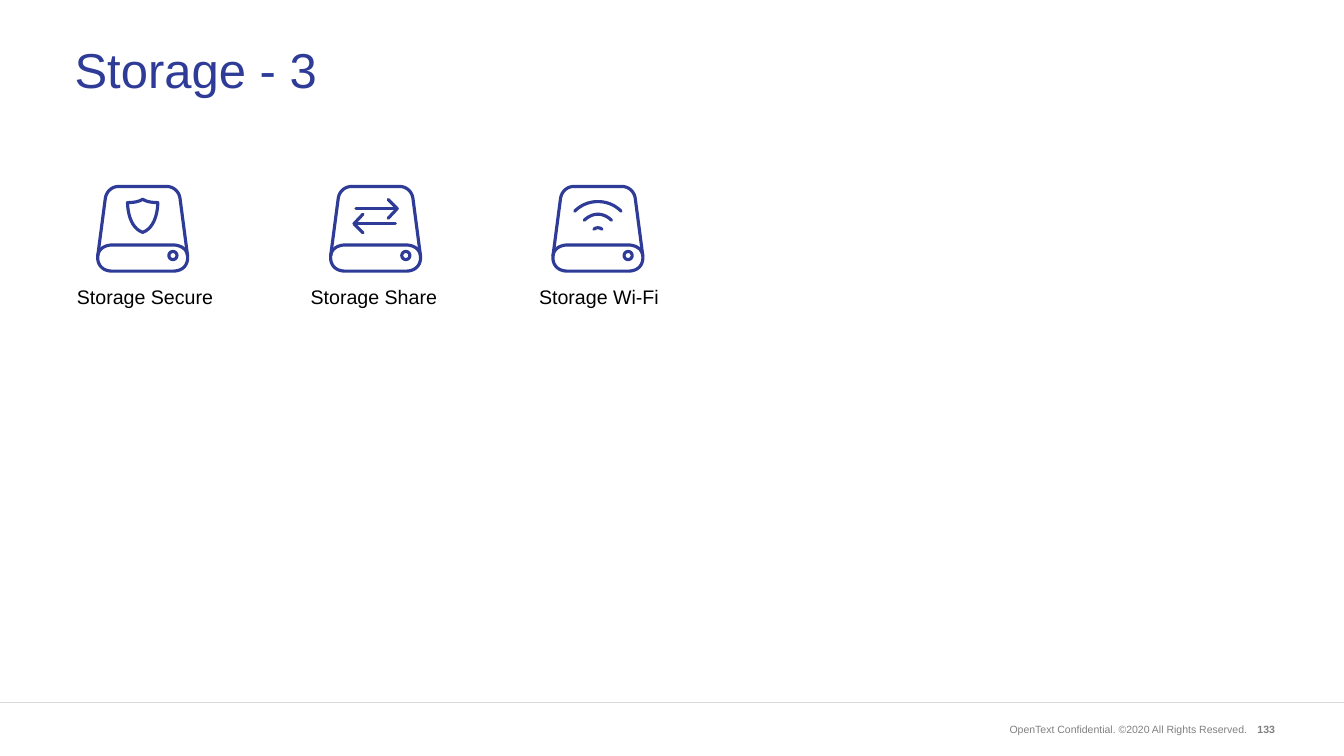
from math import cos, pi, sin

from lxml import etree
from pptx import Presentation
from pptx.dml.color import RGBColor
from pptx.enum.shapes import MSO_CONNECTOR
from pptx.enum.text import MSO_ANCHOR, MSO_AUTO_SIZE, PP_ALIGN
from pptx.oxml.ns import qn
from pptx.util import Inches, Pt

LEFT, CENTER, RIGHT = PP_ALIGN.LEFT, PP_ALIGN.CENTER, PP_ALIGN.RIGHT
TOP, MIDDLE = MSO_ANCHOR.TOP, MSO_ANCHOR.MIDDLE
NO_FIT = MSO_AUTO_SIZE.NONE
STRAIGHT = MSO_CONNECTOR.STRAIGHT

WIDE, HIGH = 26.66, 15
BLUE, BLACK, GRAY, RULE = "2E3C98", "000000", "808080", "D9D9D9"
AXIS = 0.92  # middle of a drive, from its left edge
STEPS = 12


def color(code):
    return RGBColor.from_string(code)


def trace(start, *parts):
    """Points along a path; each part is a line end or three Bezier points."""
    points = [start]
    for part in parts:
        if len(part) == 2:
            points.append(part)
            continue
        nodes = (points[-1], part[:2], part[2:4], part[4:])
        for step in range(1, STEPS + 1):
            t = step / STEPS
            mix = ((1 - t) ** 3, 3 * t * (1 - t) ** 2, 3 * t * t * (1 - t), t ** 3)
            points.append(tuple(sum(m * n[i] for m, n in zip(mix, nodes))
                                for i in (0, 1)))
    return points


def mirror(half):
    """Complete a right half, which starts on the axis, with its left half."""
    return [(2 * AXIS - x, y) for x, y in reversed(half)] + half[1:]


def ring(x, y, radius):
    turns = [2 * pi * i / 24 for i in range(25)]
    return [(x + radius * cos(a), y + radius * sin(a)) for a in turns]


def drive():
    case = trace((AXIS, 0.03), (1.4, 0.03), (1.53, 0.03, 1.64, 0.13, 1.66, 0.26),
                 (1.81, 1.4), (1.83, 1.58, 1.72, 1.71, 1.52, 1.71), (AXIS, 1.71))
    panel = trace((AXIS, 1.19), (1.52, 1.19), (1.56, 1.19, 1.78, 1.2, 1.81, 1.4))
    return [mirror(case), mirror(panel), ring(1.52, 1.4, 0.08)]


def shield():
    return [mirror(trace((AXIS, 0.28), (0.98, 0.33, 1.1, 0.35, 1.22, 0.35),
                         (1.22, 0.48, 1.18, 0.85, AXIS, 0.94)))]


def arrows():
    send = [[(0.53, 0.47), (1.35, 0.47)],
            [(1.17, 0.29), (1.35, 0.47), (1.17, 0.66)]]
    back = [[(2 * AXIS - x, 1.24 - y) for x, y in line] for line in send]
    return send + back


def waves():
    halves = [((AXIS, 0.33), (1.09, 0.33, 1.25, 0.39, 1.38, 0.52)),
              ((AXIS, 0.58), (1.02, 0.58, 1.12, 0.63, 1.19, 0.7)),
              ((AXIS, 0.85), (0.95, 0.85, 0.98, 0.86, 1.0, 0.88))]
    return [mirror(trace(*half)) for half in halves]


def add_icon(slide, left, top, lines):
    """Draw all lines of an icon as one shape with a round pen."""
    def emu(points):
        return [(Inches(x), Inches(y)) for x, y in points]

    first, *rest = [emu(line) for line in lines]
    pen = slide.shapes.build_freeform(*first[0])
    pen.add_line_segments(first[1:], close=False)
    for line in rest:
        pen.move_to(*line[0])
        pen.add_line_segments(line[1:], close=False)
    icon = pen.convert_to_shape(Inches(left), Inches(top))
    icon.shadow.inherit = False
    icon.fill.background()
    icon.line.color.rgb = color(BLUE)
    icon.line.width = Pt(4.5)
    stroke = icon.line._get_or_add_ln()
    stroke.set("cap", "rnd")
    etree.SubElement(stroke, qn("a:round"))


def fill_text(shape, text, size, code, align, anchor=TOP, bold=False, space=1.0):
    frame = shape.text_frame
    frame.word_wrap = True
    frame.auto_size = NO_FIT
    frame.vertical_anchor = anchor
    para = frame.paragraphs[0]
    para.text = text
    para.alignment = align
    para.line_spacing = space
    font = para.font
    font.name, font.size, font.bold = "Arial", Pt(size), bold
    font.color.rgb = color(code)


def add_text(slide, box, *args, **style):
    shape = slide.shapes.add_textbox(*map(Inches, box))
    fill_text(shape, *args, **style)


def add_title(slide, box, text):
    title = slide.shapes.title
    title.left, title.top, title.width, title.height = map(Inches, box)
    fill_text(title, text, 70, BLUE, LEFT, MIDDLE, space=0.9)


def add_entry(slide, box, icon_left, glyph, label):
    """Place a drive with its glyph over a label."""
    left, top, width, height = box
    add_icon(slide, icon_left, top, drive() + glyph)
    add_text(slide, (left, top + height - 0.54, width, 0.54),
             label, 28, BLACK, CENTER, space=0.93)


def add_footer(slide, top):
    rule = slide.shapes.add_connector(STRAIGHT, 0, Inches(top),
                                      Inches(WIDE), Inches(top))
    rule.line.color.rgb = color(RULE)
    rule.line.width = Pt(1)
    etree.SubElement(rule._element.spPr, qn("a:effectLst"))
    row = top + 0.36
    add_text(slide, (19.47, row, 5.37, 0.35),
             "OpenText Confidential. ©2020 All Rights Reserved.",
             15, GRAY, RIGHT, MIDDLE)
    add_text(slide, (24.68, row, 0.71, 0.35), "133", 15, GRAY, RIGHT, bold=True)


def main():
    deck = Presentation()
    deck.slide_width, deck.slide_height = Inches(WIDE), Inches(HIGH)
    slide = deck.slides.add_slide(deck.slide_layouts[5])
    add_footer(slide, 13.94)
    add_title(slide, (1.38, 0.38, 23.91, 2.12), "Storage - 3")
    entries = [(1.15, 3.45, 1.91, shield(), "Storage Secure"),
               (5.5, 3.83, 6.53, arrows(), "Storage Share"),
               (9.93, 3.9, 10.94, waves(), "Storage Wi-Fi")]
    for left, width, icon_left, glyph, label in entries:
        add_entry(slide, (left, 3.67, width, 2.52), icon_left, glyph, label)
    deck.save("out.pptx")


if __name__ == "__main__":
    main()
